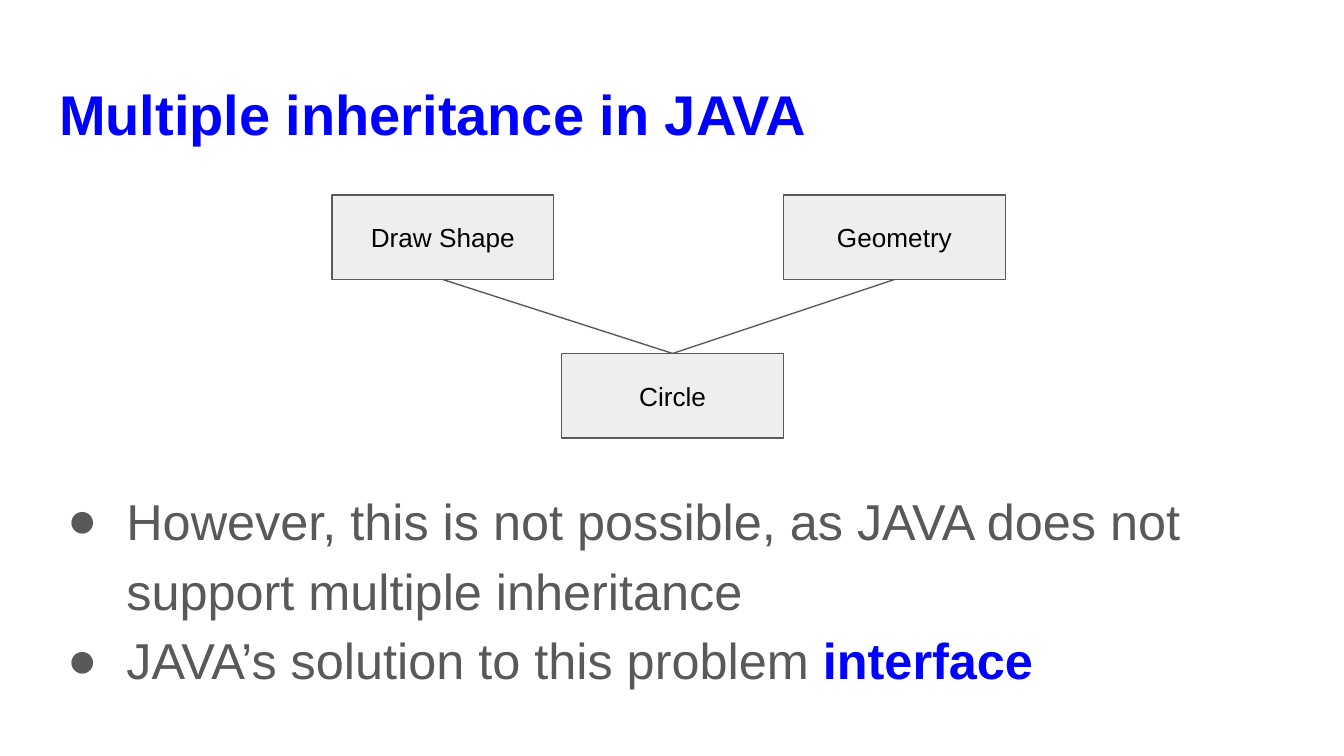
from lxml.etree import SubElement
from pptx import Presentation
from pptx.dml.color import RGBColor
from pptx.enum.shapes import MSO_CONNECTOR as CONN, MSO_SHAPE as SHAPE
from pptx.enum.text import MSO_ANCHOR as ANCHOR, MSO_AUTO_SIZE as FIT, PP_ALIGN as ALIGN
from pptx.oxml.ns import qn
from pptx.util import Inches, Pt

BLUE, GREY, LIGHT, BLACK = "0000FF", "595959", "EEEEEE", "000000"
TITLE = "Multiple inheritance in JAVA"
BULLETS = [
    [("However, this is not possible, as JAVA does not support multiple inheritance", GREY, False)],
    [("JAVA’s solution to this problem ", GREY, False), ("interface", BLUE, True)],
]
CLASSES = {"Draw Shape": (2.47, 1.45), "Geometry": (5.83, 1.45), "Circle": (4.18, 2.63)}
INHERITS = [("Draw Shape", "Circle"), ("Geometry", "Circle")]
BOX_W, BOX_H = 1.65, 0.63


def rgb(color):
    """Turn a hex string into a colour."""
    return RGBColor.from_string(color)


def add_run(p, text, size, color, bold=False):
    """Add one formatted run to a paragraph."""
    r = p.add_run()
    r.text = text
    r.font.name, r.font.size, r.font.bold = "Arial", Pt(size), bold
    r.font.color.rgb = rgb(color)


def set_frame(tf, anchor):
    """Give a text frame its margins, wrapping and anchor."""
    tf.margin_left = tf.margin_right = tf.margin_top = tf.margin_bottom = Inches(0.1)
    tf.word_wrap, tf.auto_size, tf.vertical_anchor = True, FIT.NONE, anchor


def place(sp, left, top, width, height):
    """Move and size a shape in inches."""
    sp.left, sp.top, sp.width, sp.height = map(Inches, (left, top, width, height))


def set_bullet(p):
    """Give a paragraph a round bullet with a hanging indent."""
    pPr = p._p.get_or_add_pPr()
    pPr.set("marL", str(Inches(0.5)))
    pPr.set("indent", str(Inches(-0.44)))
    SubElement(SubElement(pPr, qn("a:buClr")), qn("a:srgbClr"), val=GREY)
    SubElement(pPr, qn("a:buFont"), typeface="Arial")
    SubElement(pPr, qn("a:buChar"), char="●")


def add_class(s, name, left, top):
    """Draw a labelled class box."""
    sp = s.shapes.add_shape(SHAPE.RECTANGLE, *map(Inches, (left, top, BOX_W, BOX_H)))
    sp.shadow.inherit = False
    sp.fill.solid()
    sp.fill.fore_color.rgb = rgb(LIGHT)
    sp.line.color.rgb, sp.line.width = rgb(GREY), Pt(0.75)
    set_frame(sp.text_frame, ANCHOR.MIDDLE)
    p = sp.text_frame.paragraphs[0]
    p.alignment = ALIGN.CENTER
    add_run(p, name, 14, BLACK)
    return sp


def add_link(s, parent, child):
    """Join the bottom of a parent to the top of its child."""
    link = s.shapes.add_connector(CONN.STRAIGHT, 0, 0, 0, 0)
    link.begin_connect(parent, 2)
    link.end_connect(child, 0)
    link.line.color.rgb, link.line.width = rgb(GREY), Pt(0.75)
    SubElement(link._element.spPr, qn("a:effectLst"))


def main():
    """Build the slide and save it."""
    prs = Presentation()
    prs.slide_width = Inches(10)
    prs.slide_height = prs.slide_width * 9 // 16
    s = prs.slides.add_slide(prs.slide_layouts[1])
    title, body = s.placeholders

    place(title, 0.34, 0.49, 9.32, 0.63)
    set_frame(title.text_frame, ANCHOR.TOP)
    p = title.text_frame.paragraphs[0]
    p.alignment = ALIGN.LEFT
    add_run(p, TITLE, 30, BLUE, True)

    place(body, 0.34, 3.48, 9.32, 2.08)
    tf = body.text_frame
    set_frame(tf, ANCHOR.TOP)
    for i, runs in enumerate(BULLETS):
        p = tf.add_paragraph() if i else tf.paragraphs[0]
        p.line_spacing, p.space_before, p.space_after = 1.15, Pt(0), Pt(0)
        set_bullet(p)
        for text, color, bold in runs:
            add_run(p, text, 27, color, bold)

    boxes = {name: add_class(s, name, *spot) for name, spot in CLASSES.items()}
    for parent, child in INHERITS:
        add_link(s, boxes[parent], boxes[child])
    prs.save("out.pptx")


if __name__ == "__main__":
    main()
